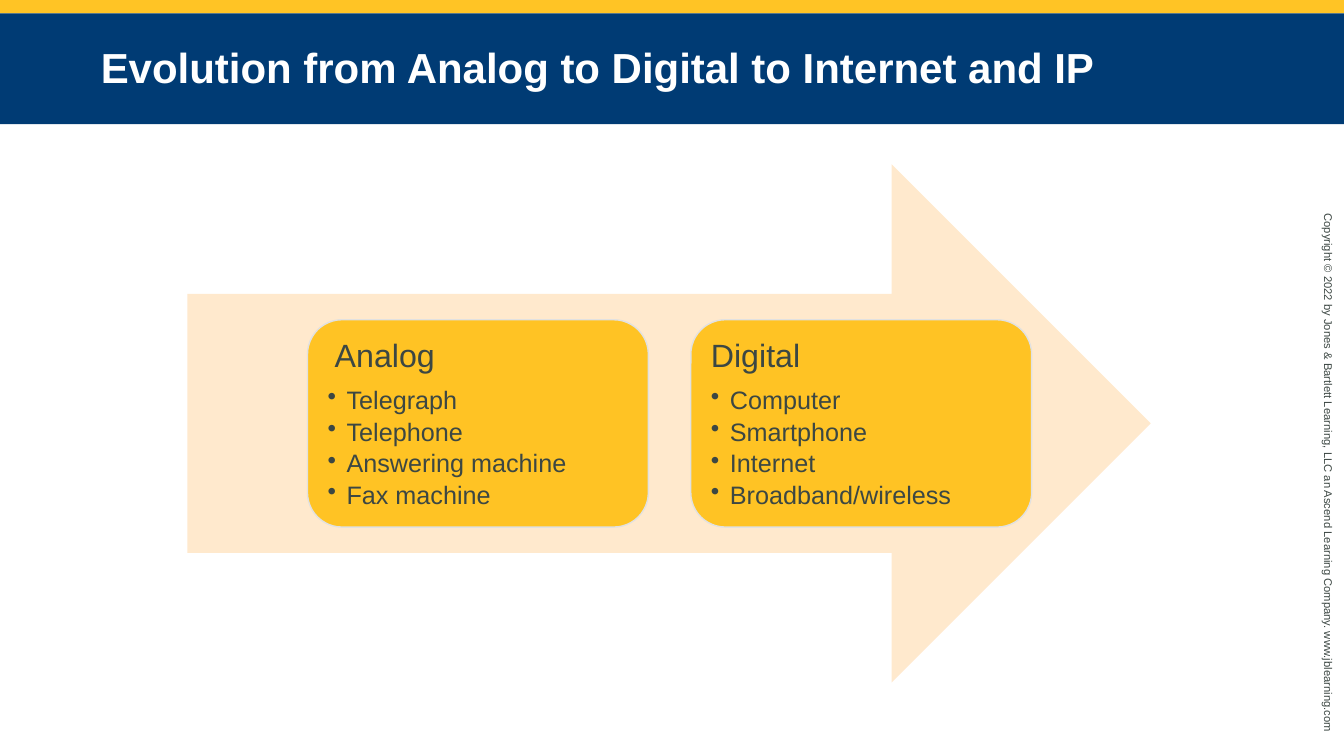
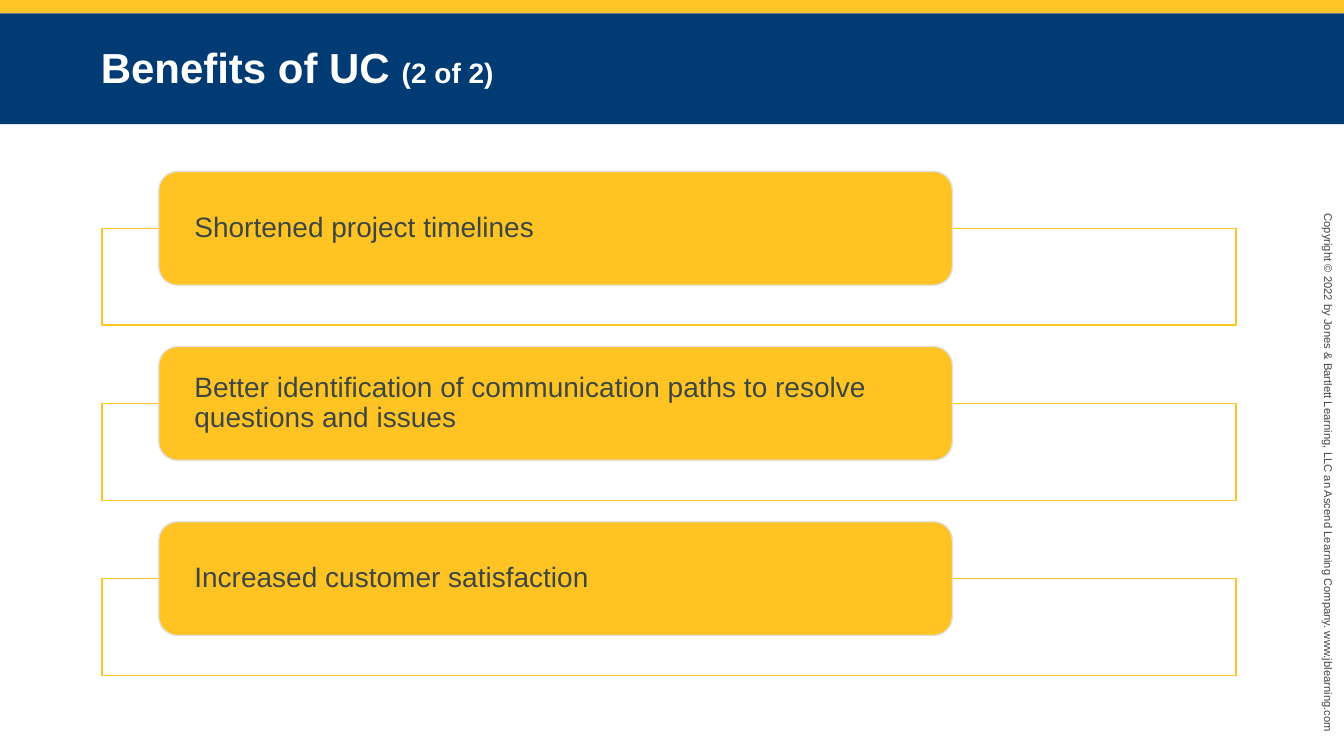
from lxml import etree
from pptx import Presentation
from pptx import util as u
from pptx.dml.color import RGBColor
from pptx.enum import shapes, text
from pptx.oxml import ns

NAVY = RGBColor(0x00, 0x3B, 0x74)
GOLD = RGBColor(0xFF, 0xC4, 0x25)
AMBER = RGBColor(0xFF, 0xC3, 0x24)
CREAM = RGBColor(0xFF, 0xE9, 0xCD)
SILVER = RGBColor(0xE1, 0xE1, 0xE1)
INK = RGBColor(0x3C, 0x47, 0x43)
WHITE = RGBColor(0xFF, 0xFF, 0xFF)

SLIDE_WIDTH, SLIDE_HEIGHT = 33.87, 19.05
COPYRIGHT = ("Copyright © 2022 by Jones & Bartlett Learning, LLC an Ascend Learning Company. "
             "www.jblearning.com")
PRESET = shapes.MSO_SHAPE
MIDDLE = text.MSO_ANCHOR.MIDDLE
TOP = text.MSO_ANCHOR.TOP


def set_attributes(target, values):
    """Set every attribute named in a dict of format values."""
    for name, value in values.items():
        setattr(target, name, value)


def add_block(slide, preset, box, fill=None, line=None):
    """Add a flat preset shape in a box given in centimetres."""
    shape = slide.shapes.add_shape(preset, *map(u.Cm, box))
    shape.shadow.inherit = False
    if fill is None:
        shape.fill.background()
    else:
        shape.fill.solid()
        shape.fill.fore_color.rgb = fill
    if line is None:
        shape.line.fill.background()
    else:
        shape.line.color.rgb = line
        shape.line.width = u.Pt(1)
    return shape


def set_frame(shape, side, edge, anchor):
    """Set the insets and anchor of a text frame and return it."""
    set_attributes(shape.text_frame, {
        "word_wrap": True, "vertical_anchor": anchor,
        "margin_left": u.Cm(side), "margin_right": u.Cm(side),
        "margin_top": u.Cm(edge), "margin_bottom": u.Cm(edge)})
    return shape.text_frame


def write(paragraph, runs, color, bold=False, spacing=0.9, after=0):
    """Fill a left-aligned paragraph with (wording, size) runs."""
    set_attributes(paragraph, {"alignment": text.PP_ALIGN.LEFT,
                               "line_spacing": spacing, "space_after": u.Pt(after)})
    for wording, size in runs:
        run = paragraph.add_run()
        run.text = wording
        set_attributes(run.font, {"name": "Arial", "size": u.Pt(size), "bold": bold})
        run.font.color.rgb = color


def set_indent(paragraph, left, first=0, bullet=None):
    """Set the indents of a paragraph in centimetres and its bullet."""
    properties = paragraph._p.get_or_add_pPr()
    properties.set("marL", str(u.Cm(left)))
    properties.set("indent", str(u.Cm(first)))
    if bullet:
        etree.SubElement(properties, ns.qn("a:buChar")).set("char", bullet)


def add_copyright(slide, center_x, center_y, length, height):
    """Add the vertical copyright line around its centre."""
    box = (center_x - length / 2, center_y - height / 2, length, height)
    shape = slide.shapes.add_textbox(*map(u.Cm, box))
    shape.rotation = 90
    frame = set_frame(shape, 0.25, 0.13, TOP)
    write(frame.paragraphs[0], [(COPYRIGHT, 8)], INK, spacing=1)


def add_titled_slide(presentation, title_runs):
    """Add a blank slide with its top stripe, copyright line and title band."""
    slide = presentation.slides.add_slide(presentation.slide_layouts[6])
    add_block(slide, PRESET.RECTANGLE, (0, 0, SLIDE_WIDTH, 0.34), GOLD)
    add_copyright(slide, 33.48, 12.09, 13.92, 0.6)
    band = add_block(slide, PRESET.RECTANGLE, (0, 0.34, SLIDE_WIDTH, 2.79), NAVY)
    frame = set_frame(band, 2.54, 0.13, MIDDLE)
    write(frame.paragraphs[0], title_runs, WHITE, bold=True, spacing=0.95)
    return slide


def add_stage(slide, box, heading, heading_indent, items):
    """Add a rounded card with a heading and bulleted items."""
    card = add_block(slide, PRESET.ROUNDED_RECTANGLE, box, AMBER, SILVER)
    frame = set_frame(card, 0.25, 0.25, TOP)
    set_indent(frame.paragraphs[0], heading_indent)
    write(frame.paragraphs[0], [(heading, 23)], INK, after=9.3)
    for item in items:
        paragraph = frame.add_paragraph()
        write(paragraph, [(item, 18)], INK, after=3.2)
        set_indent(paragraph, 0.48, -0.48, "•")


def add_evolution(slide, box, stages):
    """Add a wide arrow carrying a row of stage cards."""
    left, top, width, height = box
    add_block(slide, PRESET.RIGHT_ARROW, box, CREAM)
    card_width, gap, margin = 8.59, 1.07, 3.03
    for index, stage in enumerate(stages):
        card_left = left + margin + index * (card_width + gap)
        add_stage(slide, (card_left, top + 0.3 * height, card_width, 0.4 * height), *stage)


def add_benefits(slide, box, benefits):
    """Add a stack of cards, each overlapping an outlined frame."""
    left, top, width, height = box
    card_height, outline_height = 2.87, 2.44
    row_height = card_height / 2 + outline_height
    pitch = (height - row_height) / (len(benefits) - 1)
    for index, benefit in enumerate(benefits):
        row_top = top + index * pitch
        outline = (left, row_top + card_height / 2, width, outline_height)
        add_block(slide, PRESET.RECTANGLE, outline, line=AMBER)
        card_box = (left + 0.05 * width, row_top, 0.7 * width, card_height)
        card = add_block(slide, PRESET.ROUNDED_RECTANGLE, card_box, AMBER, SILVER)
        frame = set_frame(card, 0.76, 0, MIDDLE)
        write(frame.paragraphs[0], [(benefit, 20)], INK)


def main():
    """Build and save the presentation."""
    presentation = Presentation()
    set_attributes(presentation, {"slide_width": u.Cm(SLIDE_WIDTH),
                                  "slide_height": u.Cm(SLIDE_HEIGHT)})
    evolution = add_titled_slide(
        presentation, [("Evolution from Analog to Digital to Internet and IP", 30)])
    add_evolution(evolution, (4.72, 4.14, 24.28, 13.06), [
        ("Analog", 0.18, ["Telegraph", "Telephone", "Answering machine", "Fax machine"]),
        ("Digital", 0, ["Computer", "Smartphone", "Internet", "Broadband/wireless"])])
    benefits = add_titled_slide(presentation, [("Benefits of UC ", 30), ("(2 of 2)", 20)])
    add_benefits(benefits, (2.57, 4.32, 28.58, 12.7), [
        "Shortened project timelines",
        "Better identification of communication paths to resolve questions and issues",
        "Increased customer satisfaction"])
    presentation.save("out.pptx")


if __name__ == "__main__":
    main()
